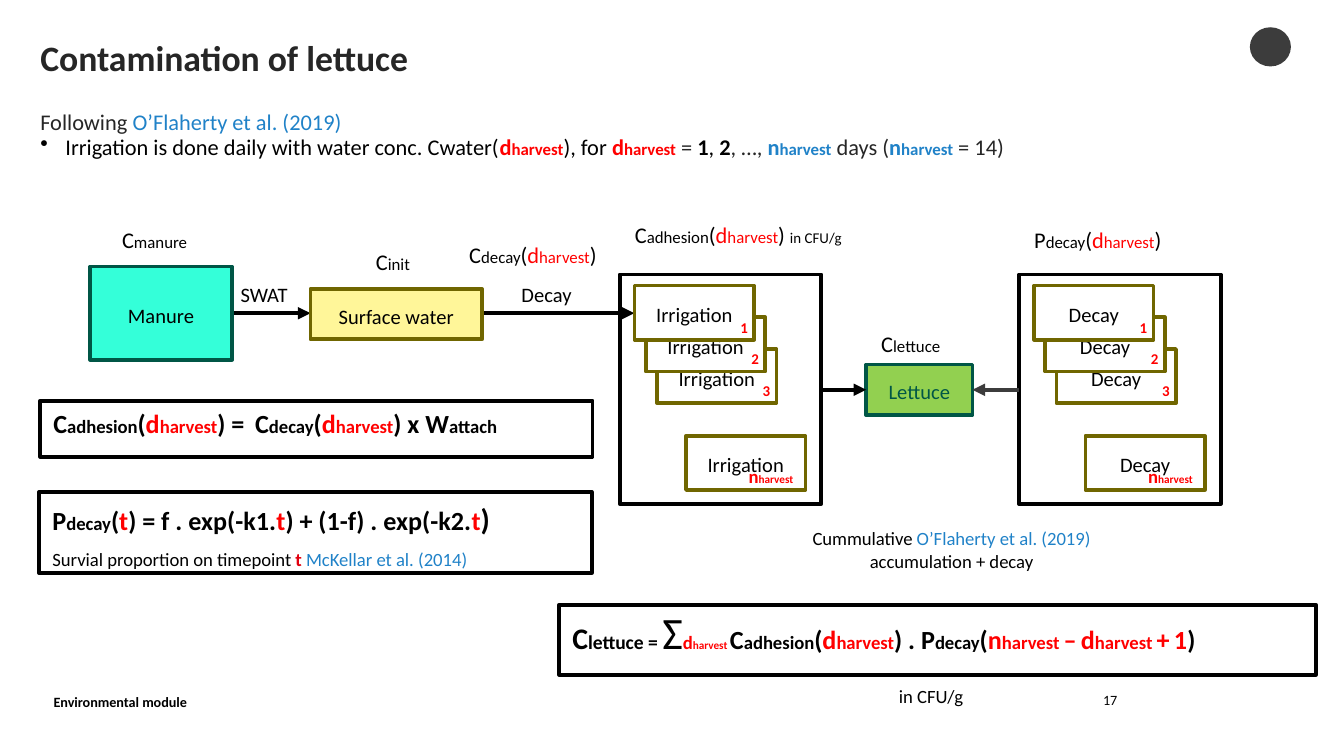
from dataclasses import dataclass

import lxml.etree
import pptx
import pptx.dml.color
import pptx.enum.shapes
import pptx.enum.text
import pptx.oxml.ns
import pptx.util

Pt = pptx.util.Pt
ALIGN = pptx.enum.text.PP_ALIGN
ANCHOR = pptx.enum.text.MSO_ANCHOR
SHAPE = pptx.enum.shapes.MSO_SHAPE


@dataclass(frozen=True)
class Theme:
    """Colours, font and type sizes of the slide."""
    font: str = "Calibri"
    black: str = "000000"
    ink: str = "262626"
    grey: str = "3C3C3C"
    red: str = "FF0000"
    crimson: str = "E1000F"
    blue: str = "2082C8"
    white: str = "FFFFFF"
    mint: str = "34FFD9"
    teal: str = "005646"
    yellow: str = "FFF699"
    olive: str = "706600"
    green: str = "92D050"
    title: float = 19.1
    formula: float = 14
    body: float = 12
    label: float = 11
    note: float = 10
    index: float = 9
    small: float = 8
    footer: float = 7.6
    tiny: float = 6


T = Theme()


def rgb(colour):
    """Turn a hex string into a colour."""
    return pptx.dml.color.RGBColor.from_string(colour)


def run(text, size=T.body, colour=T.black, bold=False):
    """Describe one run of text."""
    return text, size, colour, bold


def indexed(base, index, colour=T.black, sizes=(T.body, T.index), bold=False):
    """Describe a symbol followed by its smaller index."""
    return [run(base, sizes[0], colour, bold), run(index, sizes[1], colour, bold)]


def of_day(base, index, day="d", sizes=(T.body, T.index), bold=False):
    """Describe a symbol as a function of a harvest day."""
    return [*indexed(base, index, T.black, sizes, bold), run("(", sizes[0], T.black, bold),
            *indexed(day, "harvest", T.red, sizes, bold), run(")", sizes[0], T.black, bold)]


def fill_text(frame, paragraphs, align=ALIGN.LEFT, spacing=None):
    """Write paragraphs run by run into a text frame."""
    for number, runs in enumerate(paragraphs):
        paragraph = frame.paragraphs[0] if number == 0 else frame.add_paragraph()
        paragraph.alignment = align
        if spacing:
            paragraph.line_spacing = spacing
        for text, size, colour, bold in runs:
            piece = paragraph.add_run()
            piece.text = text
            piece.font.name, piece.font.size, piece.font.bold = T.font, Pt(size), bold
            piece.font.color.rgb = rgb(colour)


def write(slide, box, paragraphs, align=ALIGN.LEFT, spacing=None, inset=True, anchor=ANCHOR.TOP):
    """Add a wrapping text box and return its frame."""
    frame = slide.shapes.add_textbox(*map(Pt, box)).text_frame
    frame.word_wrap, frame.vertical_anchor = True, anchor
    if not inset:
        frame.margin_left = frame.margin_right = frame.margin_top = frame.margin_bottom = 0
    fill_text(frame, paragraphs, align, spacing)
    return frame


def block(slide, box, text="", fill=None, line=T.black, colour=T.black):
    """Add an outlined rectangle with an optional centred label."""
    rectangle = slide.shapes.add_shape(SHAPE.RECTANGLE, *map(Pt, box))
    rectangle.shadow.inherit = False
    rectangle.line.color.rgb, rectangle.line.width = rgb(line), Pt(2)
    if fill:
        rectangle.fill.solid()
        rectangle.fill.fore_color.rgb = rgb(fill)
    else:
        rectangle.fill.background()
    if text:
        rectangle.text_frame.word_wrap = True
        rectangle.text_frame.vertical_anchor = ANCHOR.MIDDLE
        fill_text(rectangle.text_frame, [[run(text, T.label, colour)]], ALIGN.CENTER, 1.15)


def arrow(slide, start, end, y, colour=T.black):
    """Add a horizontal arrow."""
    link = slide.shapes.add_connector(pptx.enum.shapes.MSO_CONNECTOR.STRAIGHT,
                                      Pt(start), Pt(y), Pt(end), Pt(y))
    link.line.color.rgb, link.line.width = rgb(colour), Pt(2.25)
    qn = pptx.oxml.ns.qn
    lxml.etree.SubElement(link.line._get_or_add_ln(), qn("a:tailEnd"), type="triangle")
    lxml.etree.SubElement(link._element.spPr, qn("a:effectLst"))


def header(slide, box):
    """Place the title, the introduction and the emblem."""
    x, y, width, height = box
    write(slide, (x, y, width, 36), [[run("Contamination of lettuce", T.title, T.ink, True)]],
          spacing=0.9, inset=False)
    last_day = indexed("n", "harvest", T.blue, bold=True)
    intro = write(slide, (x, y + 38.2, width, height - 38.2), [
        [run("Following ", colour=T.ink), run("O’Flaherty et al. (2019)", colour=T.blue)],
        [run("Irrigation is done daily with water conc. Cwater("),
         *indexed("d", "harvest", T.red, bold=True), run("), for "),
         *indexed("d", "harvest", T.red, bold=True), run(" = ", colour=T.ink),
         run("1", bold=True), run(", "), run("2", bold=True), run(", …, ", colour=T.ink),
         *last_day, run(" days (", colour=T.ink), *last_day, run(" = 14)", colour=T.ink)],
    ], spacing=0.9, inset=False)
    properties = intro.paragraphs[1]._p.get_or_add_pPr()
    properties.set("marL", str(Pt(13.5)))
    properties.set("indent", str(-Pt(13.5)))
    lxml.etree.SubElement(properties, pptx.oxml.ns.qn("a:buChar"), char="•")
    emblem = slide.shapes.add_shape(SHAPE.OVAL, Pt(x + width + 6), Pt(y - 7), Pt(22), Pt(21))
    emblem.shadow.inherit = False
    emblem.fill.solid()
    emblem.fill.fore_color.rgb = rgb(T.grey)
    emblem.line.fill.background()


def water_flow(slide, box):
    """Place the chain from manure through surface water to irrigation."""
    x, y, width, height = box
    axis = y + height - 25
    arrow(slide, x + 76, x + 118, axis)
    arrow(slide, x + 210, x + width, axis)
    block(slide, (x, axis - 25, 76, 50), "Manure", T.mint, T.teal)
    block(slide, (x + 118, axis - 13, 92, 27), "Surface water", T.yellow, T.olive)
    for left, top, runs in (
        (10, 0, indexed("C", "manure")),
        (146, 12, indexed("C", "init")),
        (196, 8, of_day("C", "decay")),
        (73.5, 30, [run("SWAT", T.label)]),
        (224, 30, [run("Decay", T.label)]),
    ):
        write(slide, (x + left, y + top, 97, 21), [runs])


def daily_stack(slide, box, step, heading, rise):
    """Place a frame with one overlapping card for each day."""
    x, y, width, height = box
    days = [(8 + 6 * day, 6 + 17 * day) for day in range(3)]
    for left, top in [*reversed(days), (35.5, 86.5)]:
        block(slide, (x + left, y + top, 64, 29), step, T.white, T.olive)
    for day, (left, top) in enumerate(days, 1):
        write(slide, (x + left + 49.5, y + top + 14, 22, 17),
              [[run(str(day), T.small, T.red, True)]])
    write(slide, (x + 62, y + 98.5, 55, 19),
          [indexed("n", "harvest", T.red, (T.note, T.tiny), True)])
    block(slide, box)
    write(slide, (x + 1, y - rise, 166, 21), [heading])


def lettuce(slide, box):
    """Place the lettuce block, its two inputs and its caption."""
    x, y, width, height = box
    block(slide, box, "Lettuce", T.green, T.teal, T.teal)
    arrow(slide, x - 24, x, y + height / 2)
    arrow(slide, x + width + 25, x + width, y + height / 2, T.grey)
    write(slide, (x + 1, y - 22, width, 21), [indexed("C", "lettuce")])
    write(slide, (x - 51, y + 83.5, 193.5, 32),
          [[run("Cummulative ", T.note), run("O’Flaherty et al. (2019)", T.note, T.blue),
            run(" accumulation + decay", T.note)]], ALIGN.CENTER)


def formula(slide, box, paragraphs, rise=0, spacing=None):
    """Place a framed formula whose text starts above the frame by the rise."""
    x, y, width, height = box
    write(slide, (x, y - rise, width, height + rise), paragraphs, spacing=spacing)
    block(slide, box)


def footer(slide, box):
    """Place the module name and the page number."""
    x, y, width, height = box
    write(slide, (x, y, 243, height), [[run("Environmental module", T.footer, bold=True)]],
          anchor=ANCHOR.BOTTOM)
    write(slide, (x + width - 107, y, 107, height), [[run("17", T.footer)]], ALIGN.RIGHT)


def main():
    """Build and save the slide."""
    deck = pptx.Presentation()
    deck.slide_width, deck.slide_height = Pt(720), Pt(405)
    slide = deck.slides.add_slide(deck.slide_layouts[6])
    sizes = (T.formula, T.note)

    def strong(text, colour=T.black, size=T.formula):
        """Describe a bold run of a formula."""
        return run(text, size, colour, True)

    header(slide, (21.6, 21.6, 642, 328))
    water_flow(slide, (48.3, 117.5, 291.5, 75.3))
    daily_stack(slide, (332, 147, 108, 123), "Irrigation",
                [*of_day("C", "adhesion"), run(" "), run("in CFU/g", T.small)], 32)
    daily_stack(slide, (546, 147, 108, 123), "Decay", of_day("P", "decay"), 29.5)
    lettuce(slide, (464, 195.3, 57, 27))
    formula(slide, (21.5, 214.7, 296, 30), [[
        *of_day("C", "adhesion", sizes=sizes, bold=True), strong(" = "), run(" ", T.label),
        *of_day("C", "decay", sizes=sizes, bold=True), strong(" x "),
        *indexed("W", "attach", sizes=sizes, bold=True)]])
    formula(slide, (21, 263.5, 296, 43.5), [
        [*indexed("P", "decay", sizes=sizes, bold=True), strong("("), strong("t", T.red),
         strong(") = f . exp(-k1."), strong("t", T.red), strong(") + (1-f) . exp(-k2."),
         strong("t", T.red), strong(")", size=16)],
        [run("Survial proportion on timepoint ", T.note), strong("t ", T.crimson, T.note),
         run("McKellar et al. (2014)", T.note, T.blue)]], 8.5, 1.5)
    formula(slide, (299.5, 324, 405.5, 37.5), [[
        *indexed("C", "lettuce = ", sizes=(16, 10.5), bold=True), run("Ʃ", 24),
        *indexed("d", "harvest ", T.red, (T.note, T.tiny), True),
        *of_day("C", "adhesion", sizes=sizes, bold=True), strong(" . "),
        *indexed("P", "decay", sizes=sizes, bold=True), strong("("),
        *indexed("n", "harvest ", T.red, sizes, True), *indexed("–", " ", T.red, sizes, True),
        *indexed("d", "harvest ", T.red, sizes, True), *indexed("+", " ", T.red, sizes, True),
        strong("1", T.red), strong(")")]], 3.6)
    write(slide, (474.5, 363.6, 56, 19), [[run("in CFU/g", T.note)]])
    footer(slide, (21.6, 367, 584, 17))
    deck.save("out.pptx")


if __name__ == "__main__":
    main()
